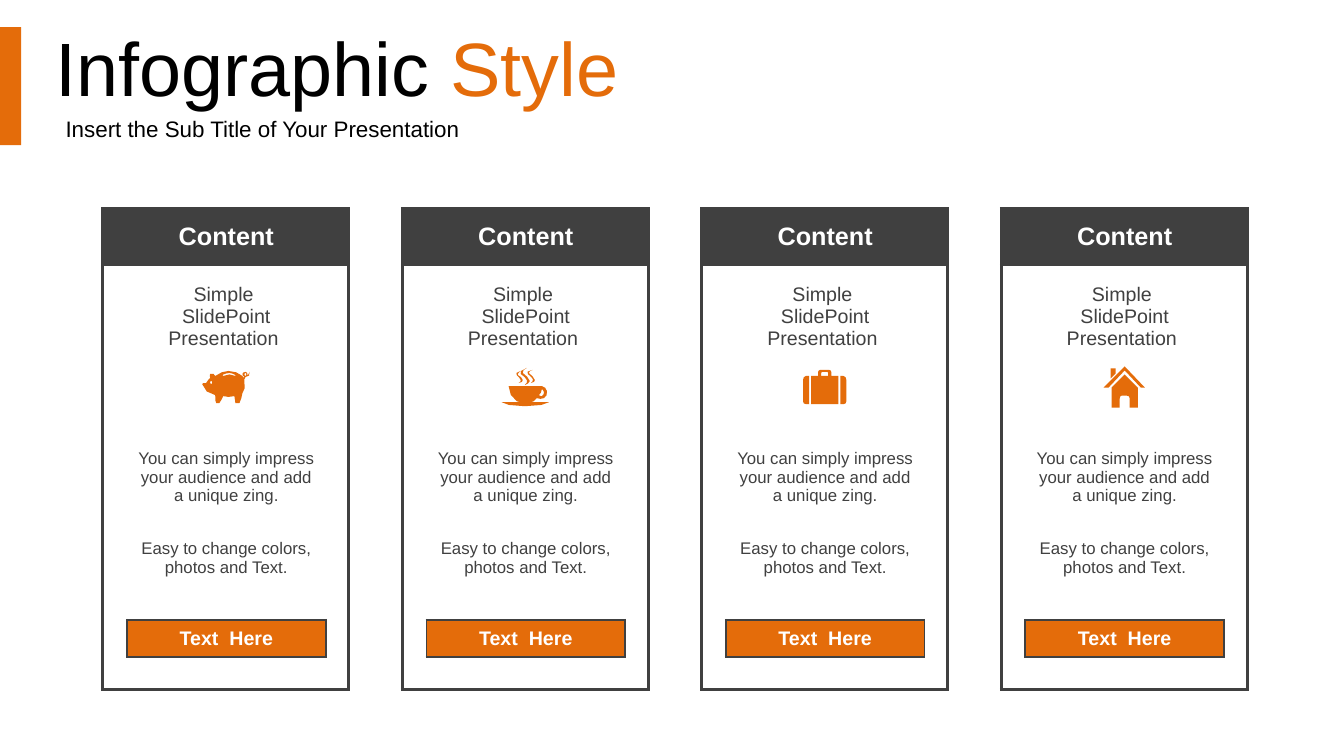
import pptx
import pptx.dml.color
import pptx.enum.shapes
import pptx.enum.text
import pptx.oxml.ns
import pptx.util
import lxml.etree
import dataclasses

In = pptx.util.Inches


@dataclasses.dataclass(frozen=True)
class Theme:
    font: str = "Arial"
    accent: str = "E46C0A"
    dark: str = "404040"
    black: str = "000000"
    white: str = "FFFFFF"
    title: int = 54
    subtitle: int = 16
    heading: int = 18
    lead: int = 14
    body: int = 12
    frame: float = 2.25
    button: float = 1.5


T = Theme()
COLS = (0.24, 1.97, 0.23)
ROWS = (0.56, 1.02, 0.56, 1.05, 0.56, 0.33, 0.37, 0.32)
BUTTON_ROW = 6
ICON_Y = 1.77
BODY = dict(size=T.body, color=T.dark)
CARD_TEXT = {
    0: (["Content"], dict(size=T.heading, color=T.white, bold=True)),
    1: (["Simple ", "SlidePoint Presentation "], dict(size=T.lead, color=T.dark)),
    3: (["You can simply impress your audience and add a unique zing."], BODY),
    4: (["Easy to change colors, photos and Text."], BODY),
    BUTTON_ROW: (["Text  Here"], dict(size=T.lead, color=T.white, bold=True)),
}

PIG = """
M 9 10 C 8 10 8 11 8 11 C 8 12 8 13 9 13 C 10 13 10 12 10 11 C 10 11 10 10 9 10
M 43 2 C 42 2 42 3 42 3 C 42 4 42 5 43 5 C 43 5 44 4 44 3 C 44 3 43 2 43 2
M 27 2 C 25 2 22 3 20 4 L 21 5 C 25 3 29 3 33 5 L 33 4 C 31 3 29 2 27 2
M 26 0 C 31 0 37 2 40 5 L 41 7 C 41 6 41 6 42 6 C 41 5 40 5 40 3
C 40 2 41 1 43 1 C 44 1 45 2 45 3 C 45 4 45 4 45 4 C 45 4 46 5 47 1
C 48 4 46 6 43 6 C 43 7 42 8 42 8 L 42 11 C 43 15 42 20 40 22
C 40 26 38 28 37 32 L 33 32 C 33 29 32 27 32 25 C 28 26 24 26 21 25
C 20 28 18 30 17 32 L 14 32 C 13 32 13 27 13 24 C 9 22 -1 20 0 13
C 0 12 2 12 4 12 C 5 10 6 9 8 7 C 8 6 7 3 8 3 C 11 1 12 4 13 5 C 16 2 23 0 26 0
"""
CUP = """
M 40 21 C 39 24 39 26 37 27 C 38 28 39 28 40 28 C 42 27 42 25 42 24 C 42 23 41 22 40 21
M 40 18 C 42 19 45 20 45 23 C 46 26 44 29 42 30 C 40 31 37 31 35 30
C 34 31 33 32 32 33 C 31 33 30 34 29 34 L 47 34 C 46 36 36 38 23 38
C 11 38 1 36 0 34 L 18 34 C 17 34 16 33 15 33 C 10 30 7 24 7 18
M 19 3 C 17 5 16 5 16 7 C 17 9 22 9 21 12 C 21 14 20 14 17 15
C 19 14 19 13 19 12 C 19 10 16 9 15 7 C 13 6 15 4 19 3
M 31 2 C 29 3 27 3 27 5 C 28 9 34 8 33 12 C 33 14 32 14 29 15
C 31 14 31 13 31 11 C 31 9 27 8 26 6 C 24 4 26 3 31 2
M 25 0 C 22 2 21 2 21 5 C 22 9 29 8 28 13 C 27 15 26 16 23 17
C 25 15 26 14 25 12 C 25 9 21 9 19 6 C 17 4 20 2 25 0
"""
SUITCASE = """
M 37 6 L 40 6 C 42 6 43 8 43 10 L 43 31 C 43 33 42 34 40 34 L 37 34
M 3 6 L 6 6 L 6 34 L 3 34 C 1 34 0 33 0 31 L 0 10 C 0 8 1 6 3 6
M 19 2 C 18 2 18 3 18 4 L 18 6 L 25 6 L 25 4 C 25 3 25 2 24 2
M 17 0 L 26 0 C 27 0 28 1 28 2 L 28 6 L 35 6 L 35 34 L 8 34 L 8 6
L 15 6 L 15 2 C 15 1 16 0 17 0
"""
HOUSE = """
M 21 8 L 34 21 L 34 41 L 26 41 L 26 32 C 26 30 25 29 23 29 L 18 29
C 17 29 16 30 16 32 L 16 41 L 8 41 L 8 21
M 7 2 L 12 2 L 12 7 L 7 12
M 21 0 L 41 21 L 37 21 L 21 4
M 21 0 L 21 4 L 5 21 L 0 21
"""
ICONS = ((PIG, 47, 32), (CUP, 47, 38), (SUITCASE, 43, 34), (HOUSE, 41, 41))


def rgb(color):
    return pptx.dml.color.RGBColor.from_string(color)


def paint(sp, color):
    sp.shadow.inherit = False
    sp.fill.solid()
    sp.fill.fore_color.rgb = rgb(color)
    sp.line.fill.background()


def add_text(p, text, size, color, bold=False, align=None):
    r = p.add_run()
    r.text = text
    r.font.name = T.font
    r.font.size = pptx.util.Pt(size)
    r.font.bold = bold
    r.font.color.rgb = rgb(color)
    if align is not None:
        p.alignment = align


def add_line_box(s, box, inset, runs, size):
    tf = s.shapes.add_textbox(*map(In, box)).text_frame
    tf.word_wrap = True
    tf.vertical_anchor = pptx.enum.text.MSO_ANCHOR.MIDDLE
    tf.margin_left, tf.margin_top = In(inset), In(0.1)
    p = tf.paragraphs[0]
    p.line_spacing = 0.9
    for text, color in runs:
        add_text(p, text, size=size, color=color)


def add_header(s, x, y, w, h):
    bar = s.shapes.add_shape(pptx.enum.shapes.MSO_SHAPE.RECTANGLE, In(x), In(y), In(0.21), In(h))
    paint(bar, T.accent)
    left, width = x + 0.45, w - 0.78
    add_line_box(s, (left, y + 0.02, width, 0.79), 0.1,
                 [("Infographic ", T.black), ("Style", T.accent)], T.title)
    add_line_box(s, (left, y + 0.81, width, 0.38), 0.2,
                 [("Insert the Sub Title of Your Presentation", T.black)], T.subtitle)


def edge_width(row, col, side):
    if side in "LR":
        edge, outer, inner = col + (side == "R"), (0, len(COLS)), row == BUTTON_ROW
    else:
        edge, outer = row + (side == "B"), (0, 1, len(ROWS))
        inner = col == 1 and edge in (BUTTON_ROW, BUTTON_ROW + 1)
    return T.frame if edge in outer else T.button if inner else 0


def add_border(cell, side, width):
    qn = pptx.oxml.ns.qn
    ln = lxml.etree.SubElement(cell._tc.get_or_add_tcPr(), qn("a:ln" + side))
    if not width:
        lxml.etree.SubElement(ln, qn("a:noFill"))
        return
    ln.set("w", str(pptx.util.Pt(width)))
    fill = lxml.etree.SubElement(ln, qn("a:solidFill"))
    lxml.etree.SubElement(fill, qn("a:srgbClr")).set("val", T.dark)


def format_cell(cell, row, col):
    for side in "LRTB":
        add_border(cell, side, edge_width(row, col, side))
    cell.fill.solid()
    button = row == BUTTON_ROW and col == 1
    cell.fill.fore_color.rgb = rgb(T.dark if row == 0 else T.accent if button else T.white)
    if col != 1 or row not in CARD_TEXT:
        cell.margin_left = cell.margin_right = cell.margin_top = cell.margin_bottom = 0
        return
    cell.vertical_anchor = pptx.enum.text.MSO_ANCHOR.MIDDLE
    lines, style = CARD_TEXT[row]
    tf = cell.text_frame
    for i, line in enumerate(lines):
        p = tf.add_paragraph() if i else tf.paragraphs[0]
        add_text(p, line, align=pptx.enum.text.PP_ALIGN.CENTER, **style)


def contour_points(contour, steps=2):
    points = []
    for segment in contour.replace("C", "L").split("L"):
        n = [float(v) for v in segment.split()]
        if len(n) == 2:
            points.append((n[0], n[1]))
            continue
        knots = [points[-1], *zip(n[::2], n[1::2])]
        for k in range(1, steps + 1):
            t = k / steps
            weights = ((1 - t) ** 3, 3 * t * (1 - t) ** 2, 3 * t * t * (1 - t), t ** 3)
            points.append(tuple(sum(w * q[a] for w, q in zip(weights, knots)) for a in (0, 1)))
    return [(In(px / 100), In(py / 100)) for px, py in points]


def add_icon(s, icon, cx, cy):
    outline, w, h = icon
    first, *others = [contour_points(c) for c in outline.split("M")[1:]]
    fb = s.shapes.build_freeform(*first[0])
    fb.add_line_segments(first[1:], close=True)
    for points in others:
        fb.move_to(*points[0])
        fb.add_line_segments(points[1:], close=True)
    paint(fb.convert_to_shape(In(cx - w / 200), In(cy - h / 200)), T.accent)


def add_card(s, icon, x, y):
    w, h = sum(COLS), sum(ROWS)
    table = s.shapes.add_table(len(ROWS), len(COLS), In(x), In(y), In(w), In(h)).table
    table.first_row = table.horz_banding = False
    for column, width in zip(table.columns, COLS):
        column.width = In(width)
    for r, height in enumerate(ROWS):
        table.rows[r].height = In(height)
        for c in range(len(COLS)):
            format_cell(table.cell(r, c), r, c)
    add_icon(s, icon, x + w / 2, y + ICON_Y)


def main():
    prs = pptx.Presentation()
    prs.slide_width, prs.slide_height = In(13.33), In(7.5)
    s = prs.slides.add_slide(prs.slide_layouts[6])
    add_header(s, 0, 0.27, 13.33, 1.17)
    for i, icon in enumerate(ICONS):
        add_card(s, icon, 1.02 + 2.97 * i, 2.07)
    prs.save("out.pptx")


if __name__ == "__main__":
    main()
